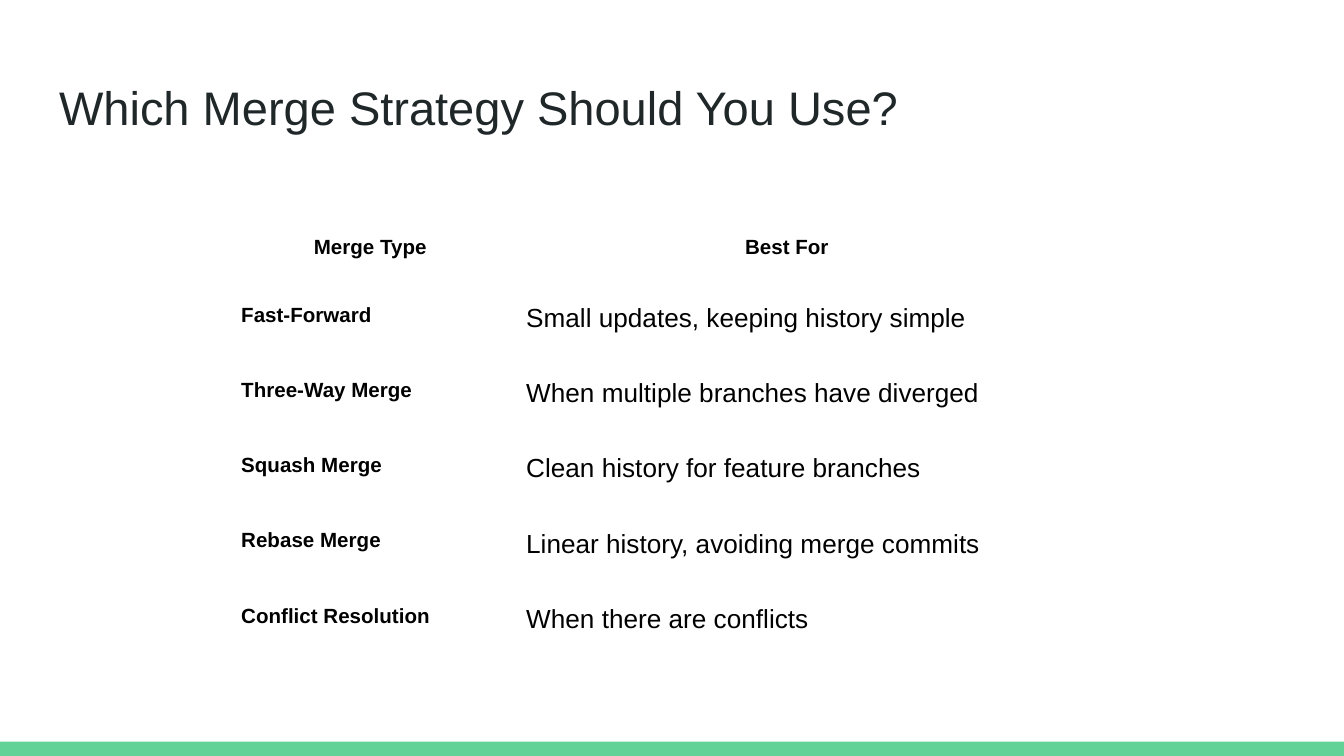
from pptx import Presentation
from pptx.dml.color import RGBColor
from pptx.enum.shapes import MSO_SHAPE
from pptx.enum.text import MSO_ANCHOR, PP_ALIGN
from pptx.util import Inches, Pt

RECTANGLE = MSO_SHAPE.RECTANGLE
TOP = MSO_ANCHOR.TOP
LEFT, CENTER = PP_ALIGN.LEFT, PP_ALIGN.CENTER

WIDTH = Inches(10)
HEIGHT = WIDTH * 9 // 16
INSET = Inches(0.1)
FONT = "Arial"
COLORS = {"page": "FFFFFF", "band": "63D297", "title": "202729", "text": "000000"}

TITLE = "Which Merge Strategy Should You Use?"
HEADINGS = ("Merge Type", "Best For")
STRATEGIES = (
    ("Fast-Forward", "Small updates, keeping history simple"),
    ("Three-Way Merge", "When multiple branches have diverged"),
    ("Squash Merge", "Clean history for feature branches"),
    ("Rebase Merge", "Linear history, avoiding merge commits"),
    ("Conflict Resolution", "When there are conflicts"),
)
COLUMN_PERCENTS = (34.2, 65.8)
HEADING_PERCENT = 15.9


def percent_box(left, top, width, height):
    """Turn percentages of the slide's size into a box of lengths."""
    return (round(left * WIDTH / 100), round(top * HEIGHT / 100),
            round(width * WIDTH / 100), round(height * HEIGHT / 100))


def set_insets(holder):
    """Give a cell or text frame equal margins and top anchoring."""
    holder.margin_left = holder.margin_right = INSET
    holder.margin_top = holder.margin_bottom = INSET
    holder.vertical_anchor = TOP


def write_text(frame, text, size, color, bold=False, align=LEFT, spacing=1.0):
    """Write one formatted paragraph into a text frame."""
    frame.text = text
    para = frame.paragraphs[0]
    para.alignment = align
    para.line_spacing = spacing
    font = para.runs[0].font
    font.name, font.size, font.bold = FONT, Pt(size), bold
    font.color.rgb = RGBColor.from_string(COLORS[color])


def add_band(page, box):
    """Draw the coloured band along the foot of the slide."""
    band = page.shapes.add_shape(RECTANGLE, *box)
    band.shadow.inherit = False
    band.fill.solid()
    band.fill.fore_color.rgb = RGBColor.from_string(COLORS["band"])
    band.line.fill.background()


def add_title(page, box):
    """Place the slide title in its box."""
    frame = page.shapes.add_textbox(*box).text_frame
    frame.word_wrap = True
    set_insets(frame)
    write_text(frame, TITLE, 25.2, "title")


def add_strategy_table(page, box):
    """Place the table of merge types, sized by shares of its box."""
    width, height = box[2:]
    rows = (HEADINGS, *STRATEGIES)
    table = page.shapes.add_table(len(rows), len(HEADINGS), *box).table
    table.first_row = table.horz_banding = False
    for column, percent in zip(table.columns, COLUMN_PERCENTS):
        column.width = round(width * percent / 100)
    body_percent = (100 - HEADING_PERCENT) / len(STRATEGIES)
    for row_index, texts in enumerate(rows):
        heading = row_index == 0
        row_percent = HEADING_PERCENT if heading else body_percent
        table.rows[row_index].height = round(height * row_percent / 100)
        for column_index, text in enumerate(texts):
            cell = table.cell(row_index, column_index)
            cell.fill.background()
            set_insets(cell)
            bold = heading or column_index == 0
            write_text(cell.text_frame, text, 11 if bold else 14, "text", bold,
                       CENTER if heading else LEFT, 1.15 if heading else 1.0)


def build_slide(deck):
    """Add the merge strategy slide to the deck."""
    page = deck.slides.add_slide(deck.slide_layouts[6])
    page.background.fill.solid()
    page.background.fill.fore_color.rgb = RGBColor.from_string(COLORS["page"])
    add_band(page, percent_box(0, 98.1, 100, 1.9))
    add_title(page, percent_box(3.41, 8.65, 93.2, 11.2))
    add_strategy_table(page, percent_box(16.95, 28.98, 62, 59.2))


def main():
    """Build the deck and save it."""
    deck = Presentation()
    deck.slide_width, deck.slide_height = WIDTH, HEIGHT
    build_slide(deck)
    deck.save("out.pptx")


if __name__ == "__main__":
    main()
